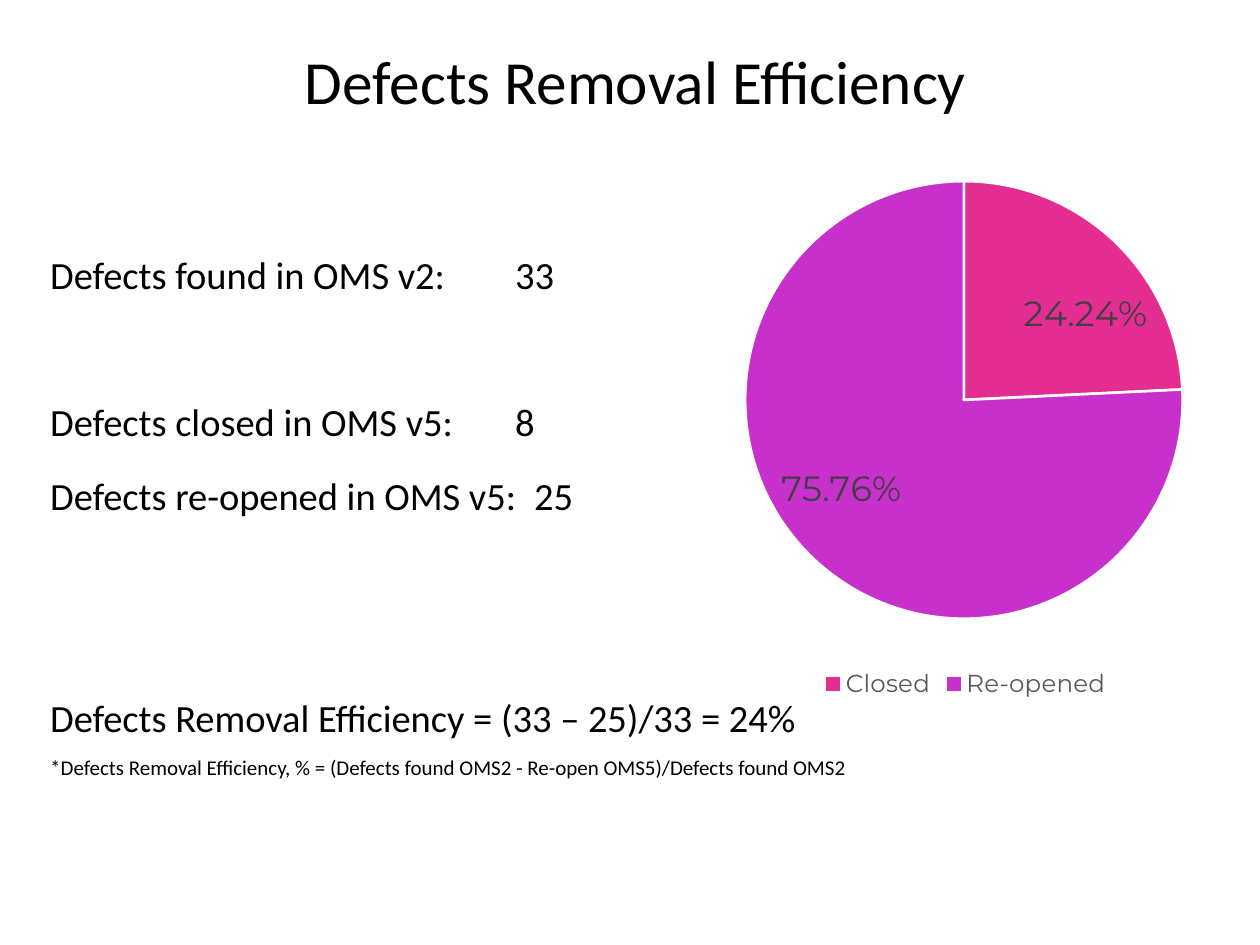
"""Build the defects removal efficiency slide."""
from dataclasses import dataclass

import pptx
import pptx.chart.data
import pptx.dml.color
import pptx.enum.chart
import pptx.enum.text
import pptx.oxml
import pptx.oxml.ns
import pptx.util

Inches = pptx.util.Inches
Pt = pptx.util.Pt
PP_ALIGN = pptx.enum.text.PP_ALIGN
BODY_FONT = "Calibri"
CHART_FONT = "Montserrat"
LINE_PITCH = 42.2


@dataclass
class Line:
    text: str
    value: str = ""
    value_left: float = 0
    size: float = 22
    rows_skipped: int = 0
    spacing: float = 1.6
    align: PP_ALIGN = PP_ALIGN.LEFT


@dataclass
class Share:
    label: str
    value: float
    color: str


HEADING = [Line("Defects Removal Efficiency", size=35, spacing=0.9, align=PP_ALIGN.CENTER)]
FINDINGS = [
    Line("Defects found in OMS v2:", "33", 3.69),
    Line("Defects closed in OMS v5:", "8", 3.69, rows_skipped=1),
    Line("Defects re-opened in OMS v5:", "25", 3.84),
    Line("Defects Removal Efficiency = (33 – 25)/33 = 24%", rows_skipped=2),
    Line(
        "*Defects Removal Efficiency, % = (Defects found OMS2 - Re-open OMS5)/Defects found OMS2",
        size=12,
    ),
]
SHARES = [Share("Closed", 0.2424, "E32D91"), Share("Re-opened", 0.7576, "C830CC")]


def rgb(value: str) -> pptx.dml.color.RGBColor:
    return pptx.dml.color.RGBColor.from_string(value)


def style_font(font, name: str, size: float, color: str) -> None:
    font.name = name
    font.size = Pt(size)
    font.color.rgb = rgb(color)


def add_tab_stop(paragraph, left: float) -> None:
    properties = paragraph._p.get_or_add_pPr()
    tab_list = pptx.oxml.parse_xml(
        f'<a:tabLst {pptx.oxml.ns.nsdecls("a")}><a:tab pos="{Inches(left)}" algn="l"/></a:tabLst>'
    )
    properties.append(tab_list)


def add_lines(slide, lines: list[Line], top: float, height: float, anchor) -> None:
    frame = slide.shapes.add_textbox(
        Inches(0.3), Inches(top), Inches(9.49), Inches(height)
    ).text_frame
    frame.word_wrap = True
    frame.vertical_anchor = anchor
    for index, line in enumerate(lines):
        paragraph = frame.add_paragraph() if index else frame.paragraphs[0]
        paragraph.alignment = line.align
        paragraph.line_spacing = line.spacing
        paragraph.space_before = Pt(line.rows_skipped * LINE_PITCH)
        pieces = [line.text]
        if line.value:
            add_tab_stop(paragraph, line.value_left)
            pieces.append("\t" + line.value)
        for piece in pieces:
            run = paragraph.add_run()
            run.text = piece
            style_font(run.font, BODY_FONT, line.size, "000000")


def add_share_pie(slide, shares: list[Share]) -> None:
    data = pptx.chart.data.CategoryChartData(number_format="0.00%")
    data.categories = [share.label for share in shares]
    data.add_series("Series 1", [share.value for share in shares])
    chart = slide.shapes.add_chart(
        pptx.enum.chart.XL_CHART_TYPE.PIE,
        Inches(4.33), Inches(1.15), Inches(6.67), Inches(4.44), data,
    ).chart
    chart.has_title = False
    style_font(chart.font, BODY_FONT, 10, "000000")
    chart.has_legend = True
    chart.legend.position = pptx.enum.chart.XL_LEGEND_POSITION.BOTTOM
    chart.legend.include_in_layout = False
    style_font(chart.legend.font, CHART_FONT, 14, "595959")

    plot = chart.plots[0]
    plot.vary_by_categories = True
    for index, share in enumerate(shares):
        slice_format = plot.series[0].points[index].format
        slice_format.fill.solid()
        slice_format.fill.fore_color.rgb = rgb(share.color)
        slice_format.line.color.rgb = rgb("FFFFFF")
        slice_format.line.width = Pt(1.5)

    labels = plot.series[0].data_labels
    labels.show_value = True
    labels.number_format = "0.00%"
    labels.number_format_is_linked = False
    labels.position = pptx.enum.chart.XL_LABEL_POSITION.BEST_FIT
    style_font(labels.font, CHART_FONT, 20, "404040")


def main() -> None:
    deck = pptx.Presentation()
    deck.slide_width = Inches(10)
    deck.slide_height = Inches(7.5)
    slide = deck.slides.add_slide(deck.slide_layouts[6])
    add_lines(slide, HEADING, 0.38, 0.58, pptx.enum.text.MSO_ANCHOR.MIDDLE)
    add_lines(slide, FINDINGS, 1.72, 5.03, pptx.enum.text.MSO_ANCHOR.TOP)
    add_share_pie(slide, SHARES)
    deck.save("out.pptx")


if __name__ == "__main__":
    main()
